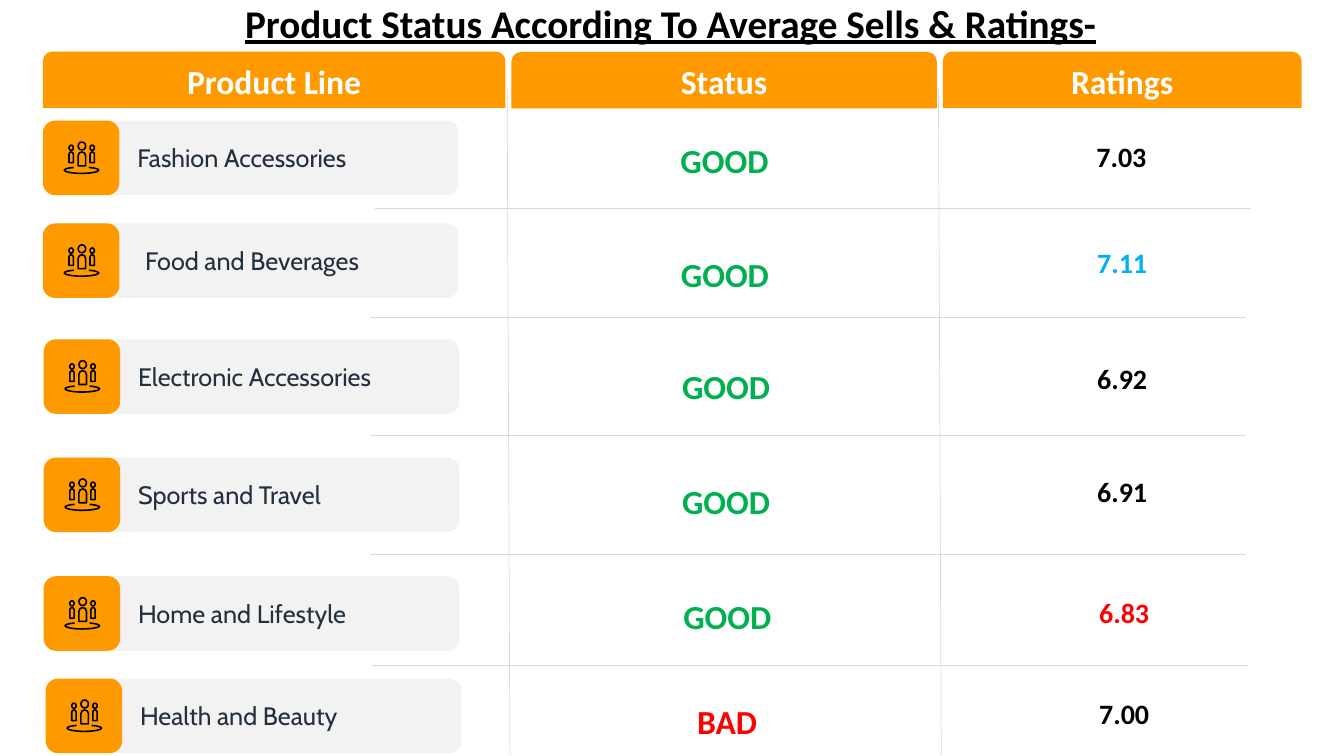
from collections import namedtuple

from lxml import etree
from pptx import Presentation
from pptx.dml.color import RGBColor
from pptx.enum.shapes import MSO_CONNECTOR, MSO_SHAPE
from pptx.enum.text import MSO_ANCHOR, PP_ALIGN
from pptx.oxml.ns import qn
from pptx.util import Cm, Pt

ROUNDED = MSO_SHAPE.ROUNDED_RECTANGLE
TAB = MSO_SHAPE.ROUND_2_SAME_RECTANGLE
OVAL = MSO_SHAPE.OVAL
STRAIGHT = MSO_CONNECTOR.STRAIGHT
MIDDLE = MSO_ANCHOR.MIDDLE
TOP = MSO_ANCHOR.TOP
LEFT = PP_ALIGN.LEFT
CENTER = PP_ALIGN.CENTER

ORANGE, GRAY, RULE, NAVY = "FE9900", "F2F2F2", "D9D9D9", "232F3E"
WHITE, BLACK, GREEN, BLUE, RED = "FFFFFF", "000000", "00B050", "00B0F0", "FF0000"

Product = namedtuple("Product", "name left top align status status_at rating rating_at rating_color")
PRODUCTS = [
    Product("Fashion Accessories", 1.08, 3.04, LEFT, "GOOD", (16.9, 3.4), "7.03", (27.38, 3.4), BLACK),
    Product("Food and Beverages", 1.08, 5.63, CENTER, "GOOD", (16.91, 6.27), "7.11", (27.4, 6.07), BLUE),
    Product("Electronic Accessories", 1.1, 8.55, LEFT, "GOOD", (16.94, 9.09), "6.92", (27.4, 8.99), BLACK),
    Product("Sports and Travel", 1.1, 11.53, LEFT, "GOOD", (16.94, 11.99), "6.91", (27.4, 11.84), BLACK),
    Product("Home and Lifestyle", 1.1, 14.52, LEFT, "GOOD", (16.97, 14.89), "6.83", (27.45, 14.88), RED),
    Product("Health and Beauty", 1.15, 17.1, LEFT, "BAD", (17.32, 17.53), "7.00", (27.45, 17.42), BLACK),
]
HEADERS = [("Product Line", 1.08, 1.3, 11.66), ("Status", 12.89, 1.31, 10.72), ("Ratings", 23.76, 1.3, 9.04)]
ROW_RULES = [(9.45, 5.25), (9.32, 8), (9.32, 10.97), (9.32, 13.97), (9.37, 16.76)]
COLUMN_RULES = [(12.78, 2.21), (23.65, 2.24)]
PEOPLE = [(0.12, 0.08, 0.11, 0.13, 0.27), (0.35, 0, 0.19, 0.2, 0.35), (0.65, 0.08, 0.11, 0.13, 0.27)]
GROUND = [(0.62, 0), (0.76, 0.01), (0.87, 0.04), (0.87, 0.07), (0.87, 0.11), (0.67, 0.15), (0.43, 0.15),
          (0.2, 0.15), (0, 0.11), (0, 0.07), (0, 0.04), (0.1, 0.01), (0.24, 0)]


def color(code):
    """Turn a hex string into a colour."""
    return RGBColor.from_string(code)


def write(shape, text, size, font, code, bold=False, align=LEFT, anchor=TOP, underline=False):
    """Put one styled run into a shape."""
    frame = shape.text_frame
    frame.word_wrap = True
    frame.vertical_anchor = anchor
    para = frame.paragraphs[0]
    para.alignment = align
    span = para.add_run()
    span.text = text
    span.font.size = Pt(size)
    span.font.name = font
    span.font.bold = bold
    span.font.underline = underline
    span.font.color.rgb = color(code)


def add_block(page, kind, left, top, width, height, fill):
    """Add a filled shape without an outline."""
    block = page.shapes.add_shape(kind, Cm(left), Cm(top), Cm(width), Cm(height))
    block.shadow.inherit = False
    block.fill.solid()
    block.fill.fore_color.rgb = color(fill)
    block.line.fill.background()
    return block


def add_box(page, left, top, width, height):
    """Add an empty text box."""
    return page.shapes.add_textbox(Cm(left), Cm(top), Cm(width), Cm(height))


def add_rule(page, start, end):
    """Add a thin gray line."""
    rule = page.shapes.add_connector(STRAIGHT, *(Cm(value) for value in start + end))
    rule.line.color.rgb = color(RULE)
    rule.line.width = Pt(0.5)
    etree.SubElement(rule._element.spPr, qn("a:effectLst"))


def outline(shape):
    """Give an icon part a black stroke and no fill."""
    shape.shadow.inherit = False
    shape.fill.background()
    shape.line.color.rgb = color(BLACK)
    shape.line.width = Pt(1.13)


def add_curve(group, points, close):
    """Draw Bezier curves: a start point, then three points for each curve."""
    points = [(Cm(x), Cm(y)) for x, y in points]
    builder = group.shapes.build_freeform(*points[0])
    builder.add_line_segments(points[1:], close=close)
    shape = builder.convert_to_shape()
    steps = list(shape._element.iter(qn("a:lnTo")))
    for index in range(0, len(steps), 3):
        curve = etree.Element(qn("a:cubicBezTo"))
        steps[index].addprevious(curve)
        for step in steps[index:index + 3]:
            curve.append(step[0])
            step.getparent().remove(step)
    outline(shape)


def add_people_icon(page, left, top):
    """Draw three people standing on an open ellipse."""
    group = page.shapes.add_group_shape()
    for offset, drop, width, head, body in PEOPLE:
        x, shoulder = left + offset, top + 0.25
        outline(group.shapes.add_shape(OVAL, Cm(x), Cm(top + drop), Cm(width), Cm(head)))
        right, middle, foot = x + width, x + width / 2, shoulder + body
        neck, bend = shoulder + width / 2, width * 0.22
        add_curve(group, [(right, foot), (x, foot), (x, foot), (x, foot), (x, neck), (x, neck), (x, neck),
                          (x, shoulder + bend), (x + bend, shoulder), (middle, shoulder),
                          (right - bend, shoulder), (right, shoulder + bend), (right, neck)], True)
    add_curve(group, [(left + x, top + 0.64 + y) for x, y in GROUND], False)


def add_product(page, product):
    """Add one product row with its icon, name, status and rating."""
    left, top = product.left, product.top
    plate = add_block(page, ROUNDED, left + 0.07, top, 10.41, 1.88, GRAY)
    add_block(page, ROUNDED, left, top, 1.93, 1.88, ORANGE)
    add_people_icon(page, left + 0.54, top + 0.54)
    label = plate
    if product.align == LEFT:
        label = add_box(page, left + 2.18, top + 0.37, 8.31, 1.14)
        label.text_frame.margin_left = Cm(0.2)
        label.text_frame.margin_right = 0
    write(label, product.name, 18, "Cabin", NAVY, align=product.align, anchor=MIDDLE)
    status_color = GREEN if product.status == "GOOD" else RED
    write(add_box(page, *product.status_at, 4.42, 1.27), product.status, 24, "Calibri", status_color, True)
    write(add_box(page, *product.rating_at, 2.5, 1.12), product.rating, 20, "Calibri",
          product.rating_color, True)


def main():
    """Build the product status slide."""
    deck = Presentation()
    deck.slide_width, deck.slide_height = Cm(33.87), Cm(19.05)
    page = deck.slides.add_slide(deck.slide_layouts[6])
    for left, top in ROW_RULES:
        add_rule(page, (left, top), (left + 22.07, top))
    for left, top in COLUMN_RULES:
        add_rule(page, (left, top), (left + 0.07, 19.02))
    for product in PRODUCTS:
        add_product(page, product)
    for text, left, top, width in HEADERS:
        header = add_block(page, TAB, left, top, width, 1.42, ORANGE)
        write(header, text, 24, "Calibri", WHITE, True, CENTER, MIDDLE)
    title = add_box(page, 5.93, -0.15, 23.11, 1.45)
    write(title, "Product Status According To Average Sells & Ratings-", 28, "Calibri", BLACK, True,
          underline=True)
    deck.save("out.pptx")


if __name__ == "__main__":
    main()
